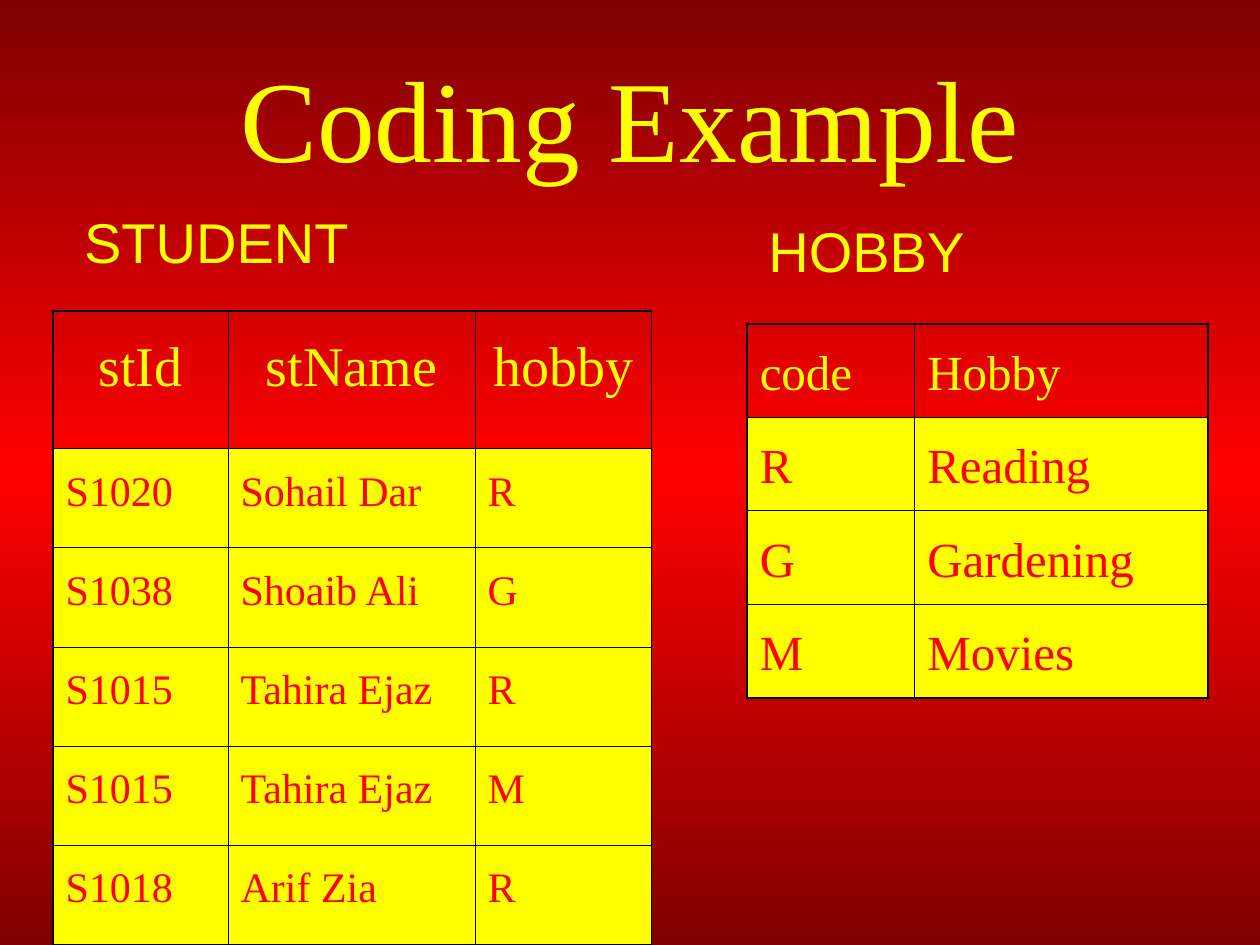
from copy import deepcopy

from lxml.etree import SubElement
from pptx import Presentation
from pptx.dml.color import RGBColor
from pptx.enum.text import MSO_ANCHOR, MSO_AUTO_SIZE, PP_ALIGN
from pptx.oxml.ns import qn
from pptx.util import Inches, Pt

YELLOW = RGBColor(0xFF, 0xFF, 0x00)
RED = RGBColor(0xFF, 0x00, 0x00)
DARK_RED = RGBColor(0x7F, 0x00, 0x00)
BLACK = RGBColor(0x00, 0x00, 0x00)
SERIF, SANS = "Times New Roman", "Arial"
OUTER, INNER = Pt(1.08), Pt(0.45)

deck = Presentation()
deck.slide_width, deck.slide_height = Inches(10), Inches(7.5)
across, down = deck.slide_width / 100, deck.slide_height / 100


def write(paragraph, words, font_name, size, color):
    run = paragraph.add_run()
    run.text = words
    run.font.name = font_name
    run.font.size = Pt(size)
    run.font.color.rgb = color


def draw_border(cell, side, width):
    line = SubElement(cell._tc.get_or_add_tcPr(), qn(f"a:ln{side}"), w=str(width))
    fill = SubElement(line, qn("a:solidFill"))
    SubElement(fill, qn("a:srgbClr"), val=str(BLACK))


slide = deck.slides.add_slide(deck.slide_layouts[5])

backdrop = slide.background.fill
backdrop.gradient()
backdrop.gradient_angle = 270
stop_list = slide.element.find(f".//{qn('a:gsLst')}")
stop_list.append(deepcopy(stop_list[-1]))
for stop, position, color in zip(backdrop.gradient_stops, (0, 0.5, 1), (DARK_RED, RED, DARK_RED)):
    stop.position = position
    stop.color.rgb = color

title = slide.shapes.title
title.left, title.top = int(5 * across), int(4 * down)
title.width, title.height = int(90 * across), int(16.67 * down)
title.text_frame.vertical_anchor = MSO_ANCHOR.MIDDLE
heading = title.text_frame.paragraphs[0]
heading.alignment = PP_ALIGN.CENTER
write(heading, "Coding Example", SERIF, 66, YELLOW)

student_rows = [
    ("stId", "stName", "hobby"),
    ("S1020", "Sohail Dar", "R"),
    ("S1038", "Shoaib Ali", "G"),
    ("S1015", "Tahira Ejaz", "R"),
    ("S1015", "Tahira Ejaz", "M"),
    ("S1018", "Arif Zia", "R"),
]
hobby_rows = [("code", "Hobby"), ("R", "Reading"), ("G", "Gardening"), ("M", "Movies")]

relations = [
    (student_rows, 4.2, 32.93, (13.9, 19.6, 14), 14.53, 10.5, 32, 24, PP_ALIGN.CENTER),
    (hobby_rows, 59.3, 34.27, (13.3, 23.3), 9.9, 9.9, 28, 28, PP_ALIGN.LEFT),
]
for records, left, top, columns, head_height, row_height, head_size, size, head_align in relations:
    last_row, last_column = len(records) - 1, len(columns) - 1
    relation = slide.shapes.add_table(
        len(records), len(columns), int(left * across), int(top * down),
        int(sum(columns) * across), int((head_height + last_row * row_height) * down),
    ).table
    relation.first_row = relation.horz_banding = False
    for column, width in zip(relation.columns, columns):
        column.width = int(width * across)
    for r, record in enumerate(records):
        is_head = r == 0
        relation.rows[r].height = int((head_height if is_head else row_height) * down)
        for c, value in enumerate(record):
            cell = relation.cell(r, c)
            edges = {"L": c == 0, "R": c == last_column, "T": is_head, "B": r == last_row}
            for side, is_outer in edges.items():
                draw_border(cell, side, OUTER if is_outer else INNER)
            if is_head:
                cell.fill.background()
            else:
                cell.fill.solid()
                cell.fill.fore_color.rgb = YELLOW
            entry = cell.text_frame.paragraphs[0]
            entry.line_spacing = 1.3
            entry.alignment = head_align if is_head else PP_ALIGN.LEFT
            write(entry, value, SERIF, head_size if is_head else size, YELLOW if is_head else RED)

for name, left, top, width in [("STUDENT", 5.7, 21.33, 23), ("HOBBY", 60, 22.27, 17.6)]:
    caption = slide.shapes.add_textbox(
        int(left * across), int(top * down), int(width * across), int(8.53 * down)
    ).text_frame
    caption.word_wrap = False
    caption.auto_size = MSO_AUTO_SIZE.SHAPE_TO_FIT_TEXT
    write(caption.paragraphs[0], name, SANS, 32, YELLOW)

deck.save("out.pptx")
